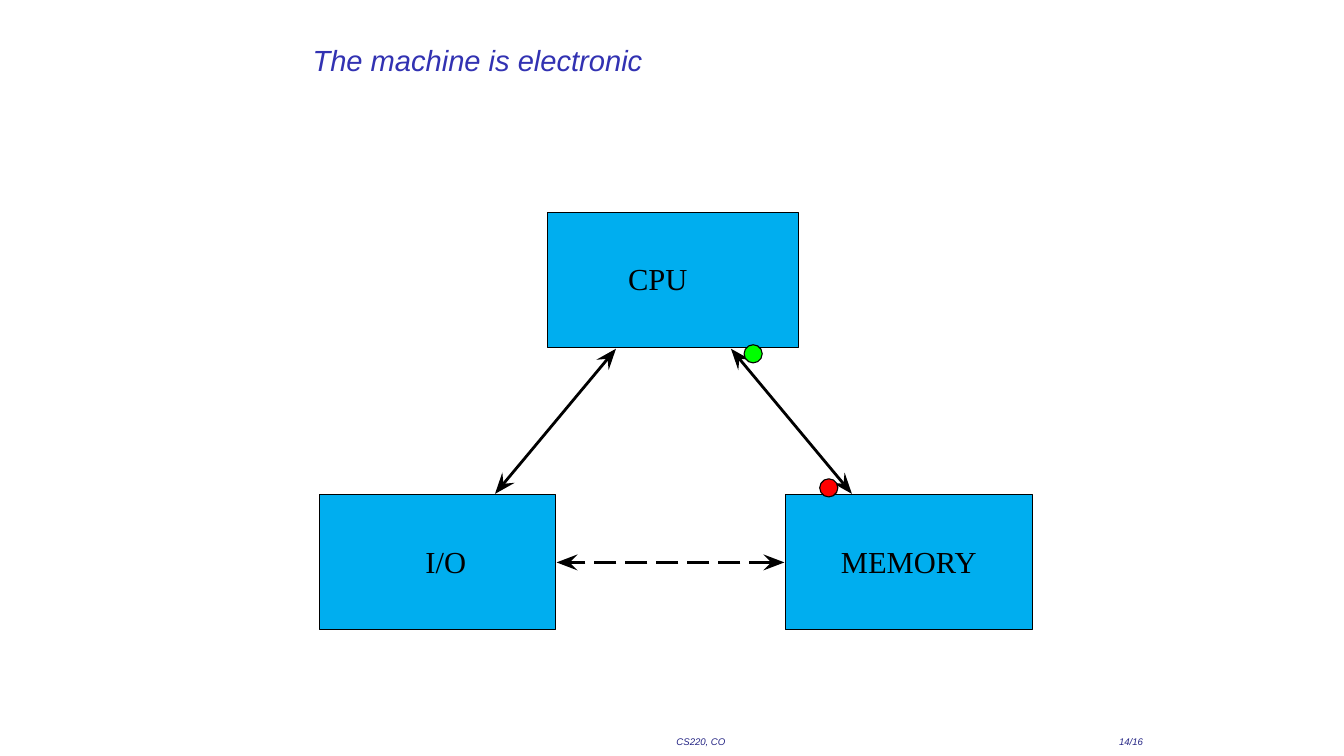
"""Builds a slide showing how CPU, I/O and memory are wired together."""
import math

from lxml import etree
from pptx import Presentation
from pptx.dml.color import RGBColor
from pptx.enum import dml, shapes, text
from pptx.oxml.ns import qn
from pptx.util import Inches, Pt

COLORS = {
    "title": "3232B2",
    "footer": "262685",
    "unit": "00AEEF",
    "ink": "000000",
    "cpu_port": "00FF00",
    "memory_port": "FF0000",
}
UNIT_HEIGHT = 1.34
UPPER_TOP = 2.11
LOWER_TOP = 4.91
LOWER_MIDDLE = LOWER_TOP + UNIT_HEIGHT / 2
PORT_SIZE = 0.18
HEAD_LENGTH = 0.21
HEAD_NOTCH = 0.13
HEAD_HALF_WIDTH = 0.08


def color(name):
    return RGBColor.from_string(COLORS[name])


def write(frame, words, size, font, ink, indent=0.03, italic=False):
    frame.text = words
    frame.margin_left = Inches(indent)
    frame.margin_top = frame.margin_right = frame.margin_bottom = 0
    frame.word_wrap = True
    paragraph = frame.paragraphs[0]
    paragraph.alignment = text.PP_ALIGN.LEFT
    run = paragraph.runs[0]
    run.font.size = Pt(size)
    run.font.name = font
    run.font.italic = italic
    run.font.color.rgb = color(ink)


def place_title(slide, words):
    title = slide.shapes.title
    title.left, title.top = Inches(3.07), Inches(0.42)
    title.width, title.height = Inches(7.22), Inches(0.38)
    write(title.text_frame, words, 20.8, "Arial", "title", italic=True)
    title.text_frame.auto_size = text.MSO_AUTO_SIZE.NONE
    title.text_frame.vertical_anchor = text.MSO_ANCHOR.TOP


def add_outlined(slide, kind, left, top, width, height, fill):
    part = slide.shapes.add_shape(
        kind, Inches(left), Inches(top), Inches(width), Inches(height))
    part.shadow.inherit = False
    part.fill.solid()
    part.fill.fore_color.rgb = color(fill)
    part.line.color.rgb = color("ink")
    part.line.width = Pt(0.8)
    return part


def add_unit(slide, name, left, top, width, indent):
    unit = add_outlined(slide, shapes.MSO_SHAPE.RECTANGLE,
                        left, top, width, UNIT_HEIGHT, "unit")
    write(unit.text_frame, name, 21.8, "Times New Roman", "ink", indent)
    unit.text_frame.margin_bottom = Inches(0.03)
    unit.text_frame.vertical_anchor = text.MSO_ANCHOR.MIDDLE


def add_port(slide, left, top, fill):
    add_outlined(slide, shapes.MSO_SHAPE.OVAL,
                 left, top, PORT_SIZE, PORT_SIZE, fill)


def add_head(slide, tip, tail):
    """Draws a barbed head at tip and returns the notch where the line joins."""
    reach = math.dist(tip, tail)
    along_x, along_y = ((b - a) / reach for a, b in zip(tip, tail))

    def place(back, side):
        return (tip[0] + back * along_x - side * along_y,
                tip[1] + back * along_y + side * along_x)

    notch = place(HEAD_NOTCH, 0)
    barbs = [place(HEAD_LENGTH, HEAD_HALF_WIDTH), notch,
             place(HEAD_LENGTH, -HEAD_HALF_WIDTH)]
    builder = slide.shapes.build_freeform(*map(Inches, tip))
    builder.add_line_segments([tuple(map(Inches, barb)) for barb in barbs])
    head = builder.convert_to_shape()
    head.shadow.inherit = False
    head.fill.solid()
    head.fill.fore_color.rgb = color("ink")
    head.line.fill.background()
    return notch


def add_bus(slide, start, end, dashed=False):
    joints = add_head(slide, start, end) + add_head(slide, end, start)
    bus = slide.shapes.add_connector(
        shapes.MSO_CONNECTOR.STRAIGHT, *map(Inches, joints))
    bus.line.color.rgb = color("ink")
    bus.line.width = Pt(2)
    if dashed:
        bus.line.dash_style = dml.MSO_LINE.LONG_DASH
    etree.SubElement(bus._element.spPr, qn("a:effectLst"))


def add_footer(slide, words, left, width):
    box = slide.shapes.add_textbox(
        Inches(left), Inches(7.3), Inches(width), Inches(0.15))
    write(box.text_frame, words, 6.9, "Arial", "footer", italic=True)


def main():
    deck = Presentation()
    deck.slide_width, deck.slide_height = Inches(13.33), Inches(7.5)
    slide = deck.slides.add_slide(deck.slide_layouts[5])
    place_title(slide, "The machine is electronic")

    add_unit(slide, "I/O", 3.17, LOWER_TOP, 2.34, 1.05)
    add_unit(slide, "MEMORY", 7.79, LOWER_TOP, 2.45, 0.55)
    add_unit(slide, "CPU", 5.43, UPPER_TOP, 2.49, 0.8)

    add_bus(slide, (4.91, 4.9), (6.11, 3.46))
    add_bus(slide, (7.25, 3.46), (8.45, 4.9))
    add_bus(slide, (7.78, LOWER_MIDDLE), (5.52, LOWER_MIDDLE), dashed=True)

    add_port(slide, 7.38, 3.42, "cpu_port")
    add_port(slide, 8.13, 4.75, "memory_port")

    add_footer(slide, "CS220, CO", 6.68, 0.6)
    add_footer(slide, "14/16", 11.07, 0.4)
    deck.save("out.pptx")


if __name__ == "__main__":
    main()
